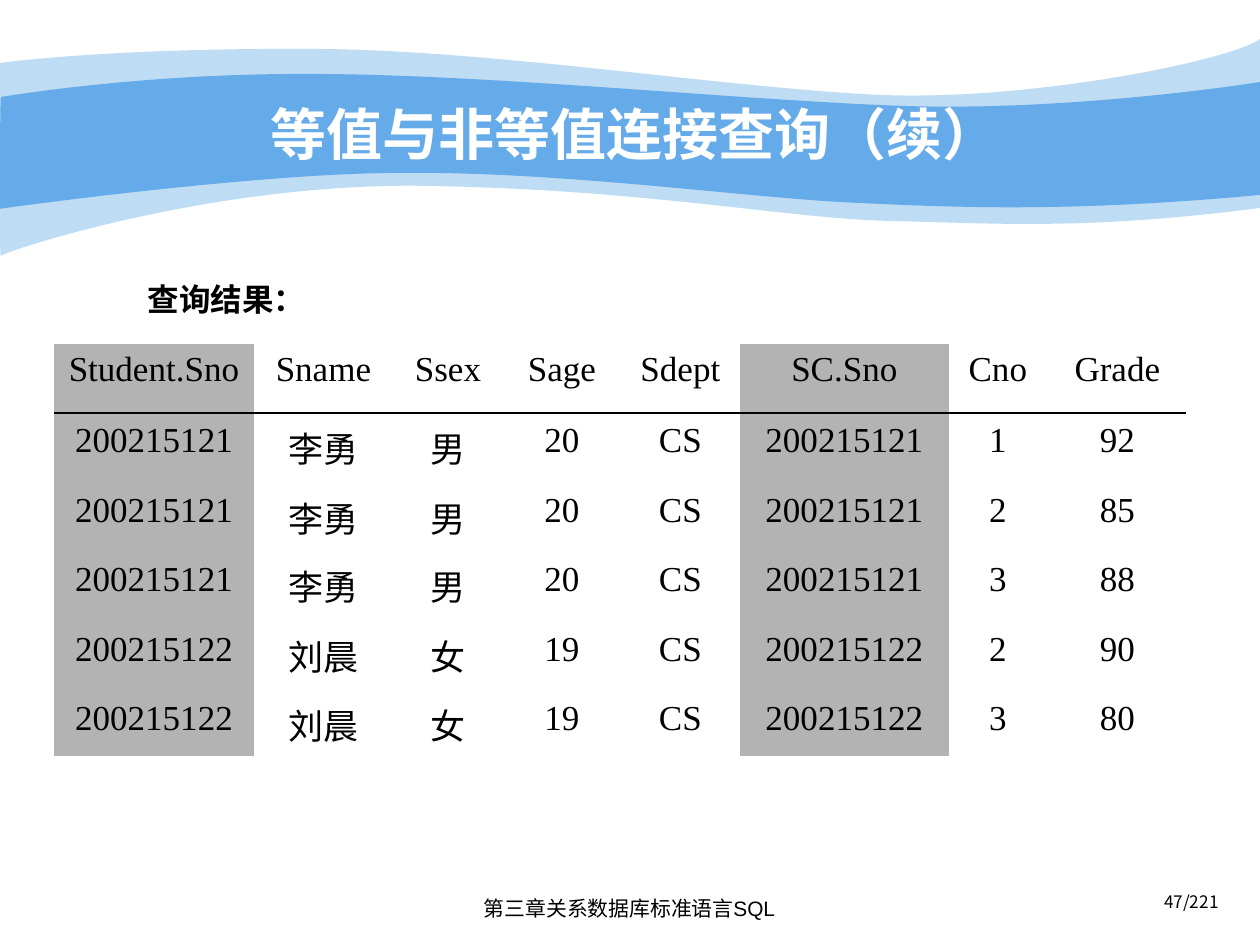
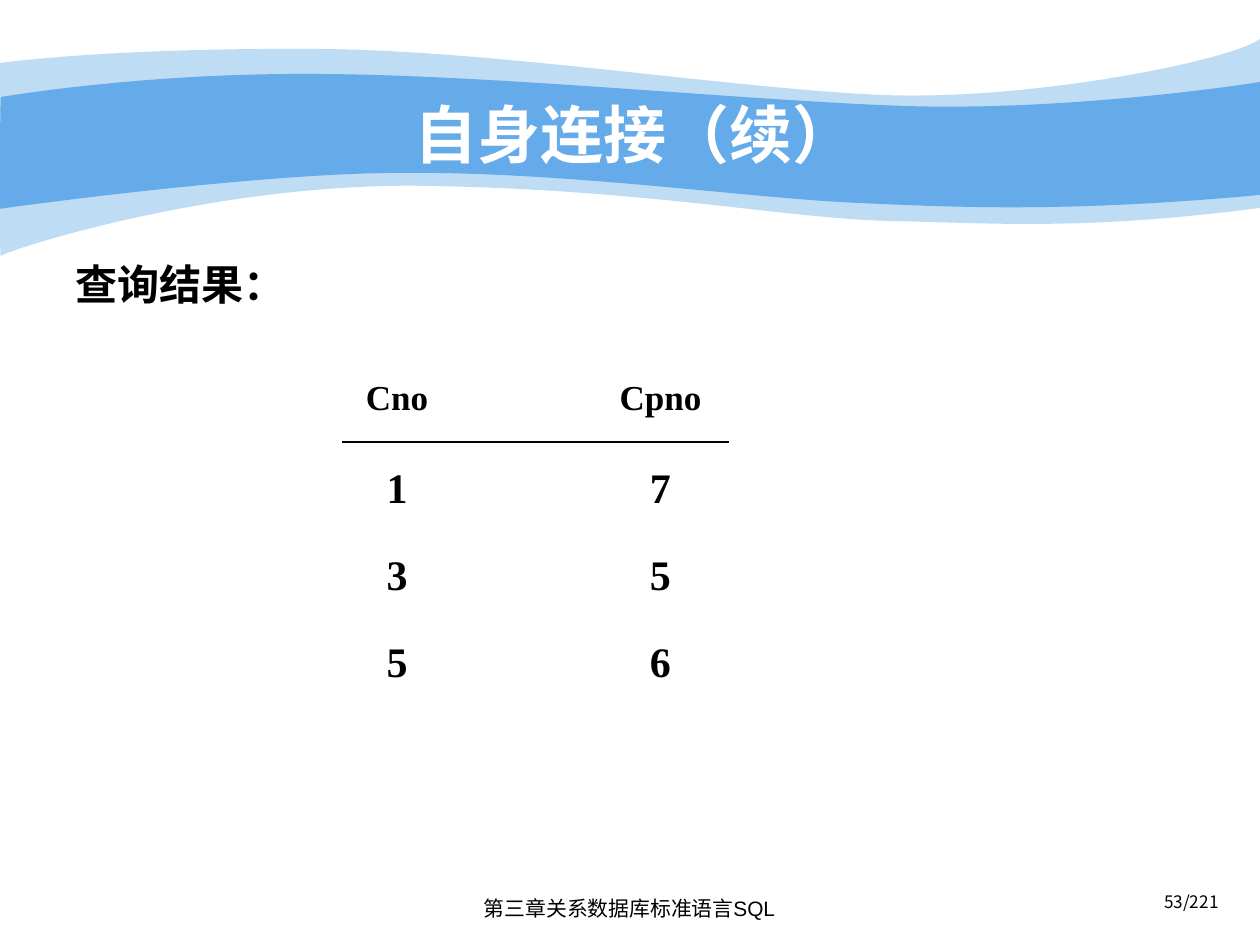
from pptx import Presentation
from pptx import util as u
from pptx.dml import color
from pptx.enum import shapes, text
from pptx.oxml import ns
from lxml import etree

PX = 914400 / 126
BLACK, WHITE, BLUE, GREY = "000000", "FFFFFF", "65AAE9", "B3B3B3"
SANS, SERIF, CJK = "Arial", "Times New Roman", "Noto Sans CJK SC"
LEFT, CENTER, RIGHT = text.PP_ALIGN.LEFT, text.PP_ALIGN.CENTER, text.PP_ALIGN.RIGHT
NO_TABLE_STYLE = "{2D5ABB26-0587-4C30-8999-92F81FD0307C}"
FOOTER = "第三章关系数据库标准语言SQL"
PAGE_COUNT = 221
RESULT_LABEL = "查询结果："

PALE_WAVE = [
    [(0, 63)],
    [(30, 59), (135, 48), (311, 49)],
    [(486, 49), (725, 88), (881, 95)],
    [(1036, 101), (1235, 59), (1260, 39)],
    [(1260, 208)],
    [(1081, 231), (992, 223), (888, 221)],
    [(784, 218), (649, 190), (432, 186)],
    [(217, 181), (5, 251), (1, 256)],
    [(-1, 262), (0, 95), (0, 63)],
]
BLUE_WAVE = [
    [(1, 97)],
    [(3, 97), (139, 73), (312, 74)],
    [(486, 74), (750, 101), (905, 106)],
    [(1060, 111), (1230, 87), (1260, 82)],
    [(1260, 195)],
    [(1075, 212), (964, 208), (859, 203)],
    [(755, 199), (563, 171), (399, 173)],
    [(256, 173), (-3, 209), (-1, 209)],
    [(0, 209), (0, 97), (1, 97)],
]

STUDENT_COURSES = [
    ["Student.Sno", "Sname", "Ssex", "Sage", "Sdept", "SC.Sno", "Cno", "Grade"],
    ["200215121", "李勇", "男", "20", "CS", "200215121", "1", "92"],
    ["200215121", "李勇", "男", "20", "CS", "200215121", "2", "85"],
    ["200215121", "李勇", "男", "20", "CS", "200215121", "3", "88"],
    ["200215122", "刘晨", "女", "19", "CS", "200215122", "2", "90"],
    ["200215122", "刘晨", "女", "19", "CS", "200215122", "3", "80"],
]
PREREQUISITES = [["Cno", "Cpno"], ["1", "7"], ["3", "5"], ["5", "6"]]


def px(*lengths):
    """Turn pixel lengths into EMU."""
    return [u.Emu(round(length * PX)) for length in lengths]


def rgb(value):
    """Turn a hex string into a colour."""
    return color.RGBColor.from_string(value)


def set_fill(target, value):
    """Fill a shape or cell with one colour, or leave it clear."""
    if value is None:
        target.fill.background()
    else:
        target.fill.solid()
        target.fill.fore_color.rgb = rgb(value)


def write(frame, content, align=CENTER, ink=BLACK, spacing=None, **font):
    """Put one formatted paragraph into a text frame."""
    paragraph = frame.paragraphs[0]
    paragraph.alignment = align
    if spacing:
        paragraph.line_spacing = spacing
    run = paragraph.add_run()
    run.text = content
    font["size"] = u.Pt(font["size"])
    for name, value in font.items():
        setattr(run.font, name, value)
    run.font.color.rgb = rgb(ink)
    east_asian = etree.SubElement(run._r.get_or_add_rPr(), ns.qn("a:ea"))
    east_asian.set("typeface", CJK)


def add_label(slide, box, content, wrap=True, **style):
    """Add a text box holding one paragraph."""
    frame = slide.shapes.add_textbox(*px(*box)).text_frame
    frame.word_wrap = wrap
    write(frame, content, **style)


def bend(wave, segments):
    """Turn each run of three outline points into one cubic curve."""
    lines = iter(wave.element.findall(".//" + ns.qn("a:lnTo")))
    for segment in segments[1:]:
        group = [next(lines) for _ in segment]
        if len(group) == 3:
            curve = etree.Element(ns.qn("a:cubicBezTo"))
            group[0].addprevious(curve)
            for line in group:
                curve.append(line[0])
                line.getparent().remove(line)


def add_wave(slide, segments, opacity=100):
    """Draw one wave of the title band and return it."""
    start, *others = [px(*point) for segment in segments for point in segment]
    builder = slide.shapes.build_freeform(*start)
    builder.add_line_segments(others, close=True)
    wave = builder.convert_to_shape()
    bend(wave, segments)
    wave.shadow.inherit = False
    wave.line.fill.background()
    set_fill(wave, BLUE)
    if opacity < 100:
        blue = wave.element.spPr.find(".//" + ns.qn("a:srgbClr"))
        etree.SubElement(blue, ns.qn("a:alpha")).set("val", str(opacity * 1000))
    return wave


def share_title_band(presentation, slide):
    """Move the waves to the slide master, behind its placeholders."""
    waves = [add_wave(slide, PALE_WAVE, 41), add_wave(slide, BLUE_WAVE)]
    tree = presentation.slide_master.shapes.element
    for index, wave in enumerate(waves):
        wave.element.nvSpPr.cNvPr.set("id", str(100 + index))
        tree.insert(2 + index, wave.element)


def add_slide(presentation, title, title_size, page):
    """Add a slide with its title, page number and footer."""
    slide = presentation.slides.add_slide(presentation.slide_layouts[5])
    heading = slide.shapes.title
    heading.left, heading.top, heading.width, heading.height = px(126, 94, 1018, 78)
    heading.text_frame.vertical_anchor = text.MSO_ANCHOR.MIDDLE
    write(heading.text_frame, title, ink=WHITE, size=title_size, name=SANS, bold=True)
    add_label(slide, (937, 889, 294, 37), f"{page}/{PAGE_COUNT}",
              align=RIGHT, spacing=0.8, size=9.8, name=CJK)
    add_label(slide, (430, 890, 399, 40), FOOTER, size=11.9, name=SANS)
    return slide


def add_result(slide, origin, rows, widths, heights, body_size=20, bold=False, grey=()):
    """Add a query result table with some columns shaded."""
    box = px(*origin, sum(widths), sum(heights))
    frame = slide.shapes.add_table(len(rows), len(widths), *box)
    frame.element.find(".//" + ns.qn("a:tableStyleId")).text = NO_TABLE_STYLE
    table = frame.table
    table.first_row = table.horz_banding = False
    for column, width in zip(table.columns, px(*widths)):
        column.width = width
    for row, height in zip(table.rows, px(*heights)):
        row.height = height
    for i, values in enumerate(rows):
        for j, value in enumerate(values):
            cell = table.cell(i, j)
            set_fill(cell, GREY if j in grey else None)
            write(cell.text_frame, value, size=body_size if i else 20,
                  name=SERIF, bold=bold)


def add_rule(slide, left, right, y):
    """Draw the thin line under a table header."""
    rule = slide.shapes.add_connector(shapes.MSO_CONNECTOR.STRAIGHT,
                                      *px(left, y, right, y))
    rule.line.color.rgb = rgb(BLACK)
    rule.line.width = u.Pt(0.75)
    etree.SubElement(rule.element.spPr, ns.qn("a:effectLst"))


def main():
    """Build both slides and save them."""
    presentation = Presentation()
    presentation.slide_width, presentation.slide_height = px(1260, 945)

    slide = add_slide(presentation, "等值与非等值连接查询（续）", 32, 47)
    share_title_band(presentation, slide)
    add_result(slide, (54, 344), STUDENT_COURSES,
               [200, 139, 110, 118, 119, 209, 98, 141],
               [71, 70, 69, 70, 69, 63], grey=(0, 5))
    add_label(slide, (88, 274, 277, 50), RESULT_LABEL, wrap=False,
              size=18, name=SERIF, bold=True)
    add_rule(slide, 54, 1186, 413)

    slide = add_slide(presentation, "自身连接（续）", 36, 53)
    add_label(slide, (63, 252, 557, 82), RESULT_LABEL, align=LEFT,
              size=24, name=SANS, bold=True)
    add_result(slide, (263, 373), PREREQUISITES, [268, 259], [87] * 4,
               body_size=24, bold=True)
    add_rule(slide, 342, 729, 442)

    presentation.save("out.pptx")


if __name__ == "__main__":
    main()
